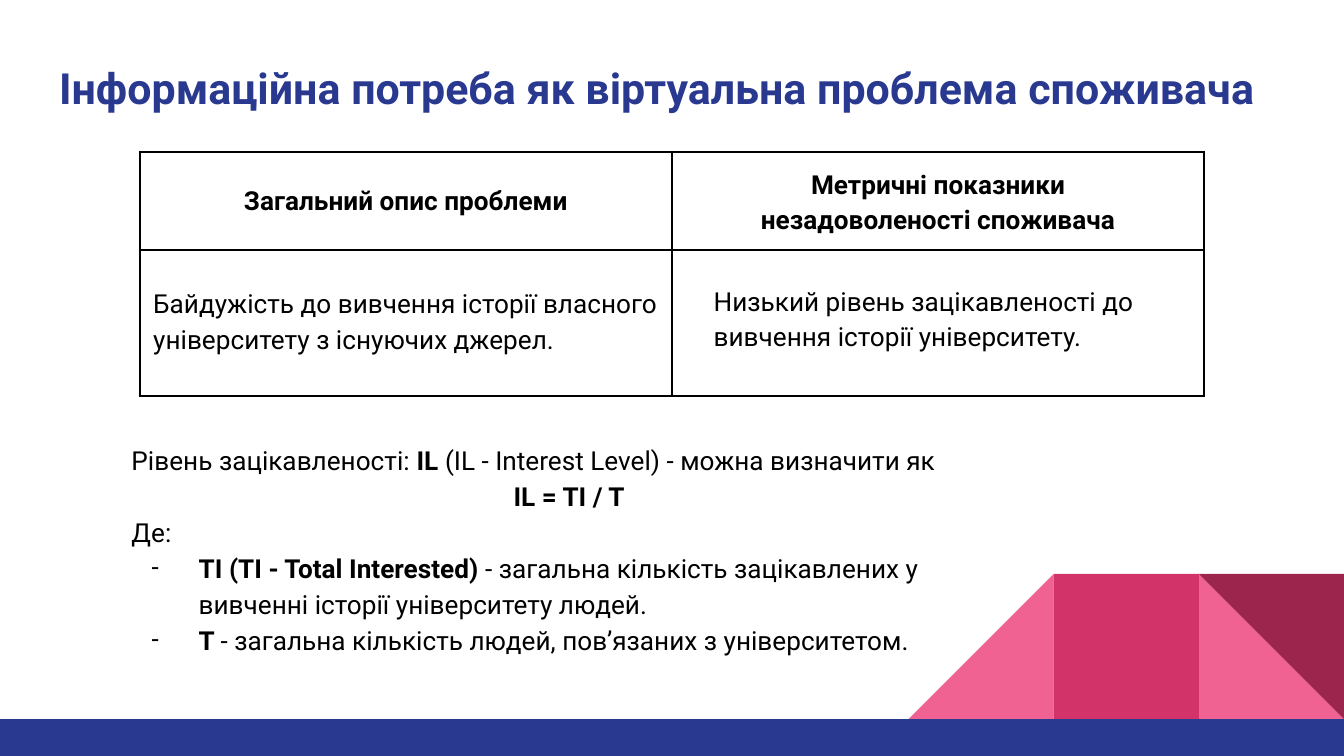
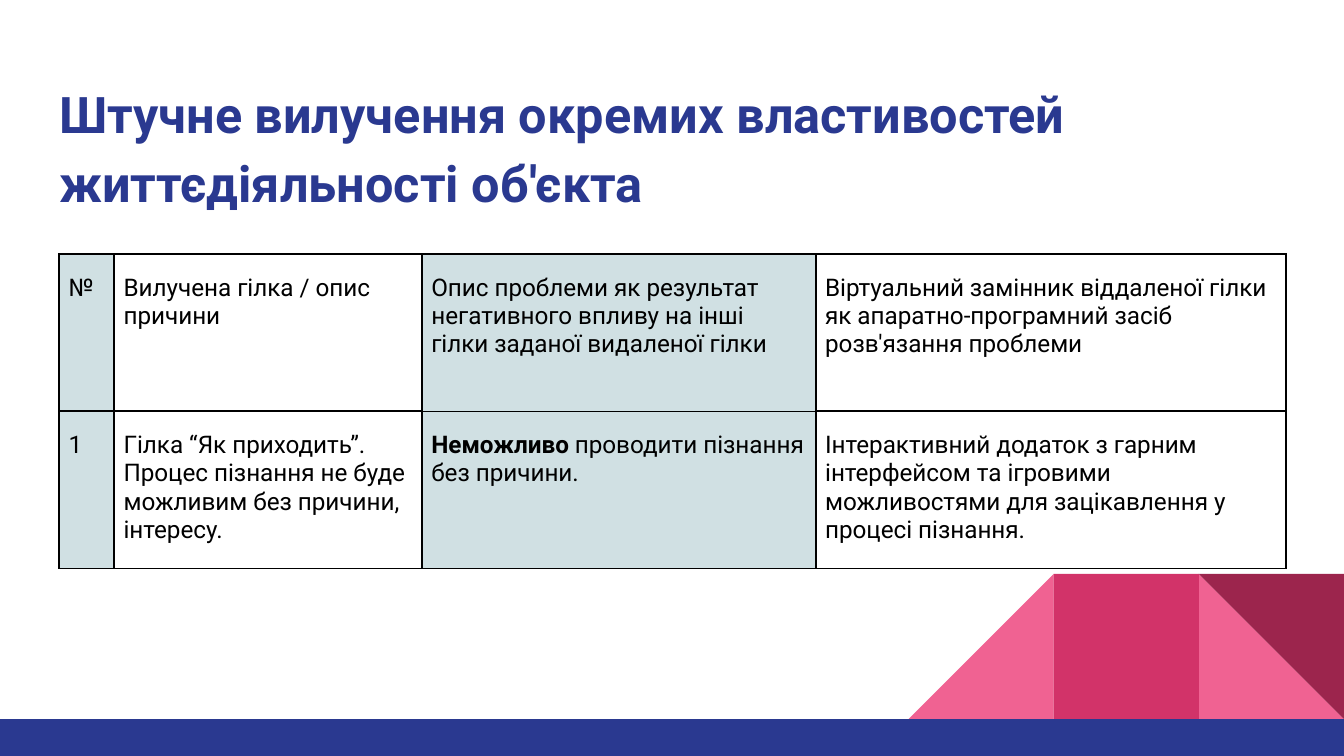
from dataclasses import dataclass
from typing import Optional

from lxml.etree import SubElement
from pptx import Presentation
from pptx.dml.color import RGBColor
from pptx.enum.shapes import MSO_SHAPE
from pptx.enum.text import MSO_ANCHOR, MSO_AUTO_SIZE, PP_ALIGN
from pptx.oxml.ns import qn
from pptx.util import Inches, Pt


# Theme
@dataclass(frozen=True)
class Theme:
    font: str = "Roboto"
    navy: str = "2A3990"
    pink: str = "F06292"
    rose: str = "D23369"
    wine: str = "9C254D"
    black: str = "000000"
    white: str = "FFFFFF"
    shade: str = "D0E0E3"
    need_title_size: int = 23
    branch_title_size: int = 27
    body_size: int = 14
    grid_size: int = 13


THEME = Theme()
LOOSE = 1.15
PAGE_WIDTH = 10
PAGE_HEIGHT = PAGE_WIDTH * 9 / 16


# Content descriptions
@dataclass(frozen=True)
class Span:
    text: str
    bold: bool = False


@dataclass(frozen=True)
class Para:
    spans: tuple[Span, ...]
    align: PP_ALIGN = PP_ALIGN.LEFT
    dash: bool = False


@dataclass(frozen=True)
class Cell:
    paras: tuple[Para, ...]
    insets: tuple[float, float, float, float] = (0.07, 0.15, 0.07, 0.07)
    fill: Optional[str] = None
    top: Optional[float] = None
    bottom: Optional[float] = None


@dataclass(frozen=True)
class Grid:
    left: float
    top: float
    columns: tuple[float, ...]
    rows: tuple[float, ...]
    cells: tuple[tuple[Cell, ...], ...]
    line: float
    size: float
    spacing: float = 1.0


@dataclass(frozen=True)
class Block:
    preset: MSO_SHAPE
    left: float
    top: float
    width: float
    height: float
    color: str
    rotation: float = 0


def plain(text: str) -> Para:
    return Para((Span(text),))


def heading(text: str) -> Para:
    return Para((Span(text, True),), PP_ALIGN.CENTER)


# Decoration shared by the pages
SIDE, DECOR_TOP, BAND_TOP = 1.08, 4.27, 5.35
DECOR_LEFT = PAGE_WIDTH - 3 * SIDE


def decor_block(preset: MSO_SHAPE, step: int, color: str, rotation: float = 0) -> Block:
    return Block(preset, DECOR_LEFT + step * SIDE, DECOR_TOP, SIDE, SIDE, color, rotation)


DECOR = (
    decor_block(MSO_SHAPE.RIGHT_TRIANGLE, 2, THEME.pink),
    decor_block(MSO_SHAPE.RIGHT_TRIANGLE, 0, THEME.pink, 270),
    decor_block(MSO_SHAPE.RECTANGLE, 1, THEME.rose),
    decor_block(MSO_SHAPE.RIGHT_TRIANGLE, 2, THEME.wine, 180),
    Block(MSO_SHAPE.RECTANGLE, 0, BAND_TOP, PAGE_WIDTH, PAGE_HEIGHT - BAND_TOP, THEME.navy),
)


# Drawing functions
def add_span(para, text: str, *, size: float, color: str = THEME.black,
             bold: bool = False) -> None:
    span = para.add_run()
    span.text = text
    span.font.name = THEME.font
    span.font.size = Pt(size)
    span.font.bold = bold
    span.font.color.rgb = RGBColor.from_string(color)


def set_insets(target, insets: tuple[float, float, float, float]) -> None:
    (target.margin_left, target.margin_top,
     target.margin_right, target.margin_bottom) = map(Inches, insets)


def add_dash(para, size: float) -> None:
    properties = para._p.get_or_add_pPr()
    properties.set("marL", str(Inches(0.5)))
    properties.set("indent", str(Inches(-0.35)))
    color = SubElement(properties, qn("a:buClr"))
    SubElement(color, qn("a:srgbClr"), val=THEME.black)
    SubElement(properties, qn("a:buSzPts"), val=str(int(size * 100)))
    SubElement(properties, qn("a:buFont"), typeface=THEME.font)
    SubElement(properties, qn("a:buChar"), char="-")


def write_paras(frame, paras: tuple[Para, ...], *, size: float, spacing: float,
                color: str = THEME.black) -> None:
    for index, item in enumerate(paras):
        para = frame.add_paragraph() if index else frame.paragraphs[0]
        para.alignment = item.align
        para.line_spacing = spacing
        if item.dash:
            add_dash(para, size)
        for span in item.spans:
            add_span(para, span.text, size=size, color=color, bold=span.bold)


def add_block(page, block: Block) -> None:
    box = page.shapes.add_shape(block.preset, Inches(block.left), Inches(block.top),
                                Inches(block.width), Inches(block.height))
    box.rotation = block.rotation
    box.shadow.inherit = False
    box.fill.solid()
    box.fill.fore_color.rgb = RGBColor.from_string(block.color)
    box.line.fill.background()


def set_borders(cell, widths: dict[str, float]) -> None:
    properties = cell._tc.get_or_add_tcPr()
    for tag, width in widths.items():
        line = SubElement(properties, qn(f"a:{tag}"), w=str(Pt(width)))
        fill = SubElement(line, qn("a:solidFill"))
        SubElement(fill, qn("a:srgbClr"), val=THEME.black)


def add_grid(page, grid: Grid) -> None:
    table = page.shapes.add_table(
        len(grid.rows), len(grid.columns), Inches(grid.left), Inches(grid.top),
        Inches(sum(grid.columns)), Inches(sum(grid.rows))).table
    table.first_row = table.horz_banding = False
    for column, width in zip(table.columns, grid.columns):
        column.width = Inches(width)
    for row, height, items in zip(table.rows, grid.rows, grid.cells):
        row.height = Inches(height)
        for cell, item in zip(row.cells, items):
            set_insets(cell, item.insets)
            set_borders(cell, {"lnL": grid.line, "lnR": grid.line,
                               "lnT": item.top or grid.line,
                               "lnB": item.bottom or grid.line})
            if item.fill:
                cell.fill.solid()
                cell.fill.fore_color.rgb = RGBColor.from_string(item.fill)
            else:
                cell.fill.background()
            write_paras(cell.text_frame, item.paras, size=grid.size, spacing=grid.spacing)


def add_page(deck, title: str, *, top: float, height: float, size: float,
             spacing: float = 1.0):
    page = deck.slides.add_slide(deck.slide_layouts[5])
    page.background.fill.solid()
    page.background.fill.fore_color.rgb = RGBColor.from_string(THEME.white)
    box = page.shapes.title
    box.left, box.top = Inches(0.34), Inches(top)
    box.width, box.height = Inches(9.32), Inches(height)
    frame = box.text_frame
    frame.word_wrap = True
    frame.auto_size = MSO_AUTO_SIZE.NONE
    frame.vertical_anchor = MSO_ANCHOR.TOP
    set_insets(frame, (0.1, 0.1, 0.1, 0.1))
    write_paras(frame, (Para((Span(title, True),)),), size=size, spacing=spacing,
                color=THEME.navy)
    for block in DECOR:
        add_block(page, block)
    return page


# Page 1: the need and its measure
PROBLEM_GRID = Grid(
    left=1.04, top=1.13, columns=(3.96, 3.96), rows=(0.6, 1.09),
    line=1.5, size=THEME.body_size, spacing=LOOSE,
    cells=(
        (Cell((heading("Загальний опис проблеми"),), (0.1, 0.22, 0.1, 0.1)),
         Cell((heading("Метричні показники"), heading("незадоволеності споживача")),
              (0.1, 0.1, 0.1, 0.1))),
        (Cell((plain("Байдужість до вивчення історії власного університету "
                     "з існуючих джерел."),), (0.1, 0.26, 0.1, 0.1)),
         Cell((plain("Низький рівень зацікавленості до вивчення історії університету."),),
              (0.31, 0.24, 0.07, 0.07))),
    ),
)

INTEREST_LEVEL = (
    Para((Span("Рівень зацікавленості: "), Span("IL ", True),
          Span("(IL - Interest Level) - можна визначити як"))),
    heading("IL = TI / T"),
    plain("Де:"),
    Para((Span("TI (TI - Total Interested)", True),
          Span(" - загальна кількість зацікавлених у вивченні історії "
               "університету людей.")), dash=True),
    Para((Span("T ", True),
          Span("- загальна кількість людей, пов’язаних з університетом.")), dash=True),
)


def build_need_page(deck) -> None:
    page = add_page(deck, "Інформаційна потреба як віртуальна проблема споживача",
                    top=0.36, height=1.09, size=THEME.need_title_size)
    add_grid(page, PROBLEM_GRID)
    box = page.shapes.add_textbox(Inches(0.88), Inches(3.17), Inches(6.71), Inches(2.06))
    frame = box.text_frame
    frame.word_wrap = True
    frame.auto_size = MSO_AUTO_SIZE.SHAPE_TO_FIT_TEXT
    set_insets(frame, (0.1, 0.1, 0.1, 0.1))
    write_paras(frame, INTEREST_LEVEL, size=THEME.body_size, spacing=LOOSE)


# Page 2: the removed branch
BRANCH_GRID = Grid(
    left=0.44, top=1.89, columns=(0.41, 2.29, 2.93, 3.5), rows=(1.17, 1.17),
    line=1, size=THEME.grid_size,
    cells=(
        (Cell((plain("№"),), fill=THEME.shade),
         Cell((plain("Вилучена гілка / опис причини"),)),
         Cell((plain("Опис проблеми як результат негативного впливу на інші гілки "
                     "заданої видаленої гілки"),), fill=THEME.shade, bottom=0.5),
         Cell((plain("Віртуальний замінник віддаленої гілки як апаратно-програмний "
                     "засіб розв'язання проблеми"),))),
        (Cell((plain("1"),), fill=THEME.shade),
         Cell((plain("Гілка “Як приходить”."),
               plain("Процес пізнання не буде можливим без причини, інтересу."))),
         Cell((Para((Span("Неможливо ", True),
                     Span("проводити пізнання без причини."))),),
              fill=THEME.shade, top=0.5),
         Cell((plain("Інтерактивний додаток з гарним інтерфейсом та ігровими "
                     "можливостями для зацікавлення у процесі пізнання."),))),
    ),
)


def build_branch_page(deck) -> None:
    page = add_page(deck, "Штучне вилучення окремих властивостей життєдіяльності об'єкта",
                    top=0.45, height=0.66, size=THEME.branch_title_size, spacing=LOOSE)
    add_grid(page, BRANCH_GRID)


def main() -> None:
    deck = Presentation()
    deck.slide_width, deck.slide_height = Inches(PAGE_WIDTH), Inches(PAGE_HEIGHT)
    build_need_page(deck)
    build_branch_page(deck)
    deck.save("out.pptx")


if __name__ == "__main__":
    main()
